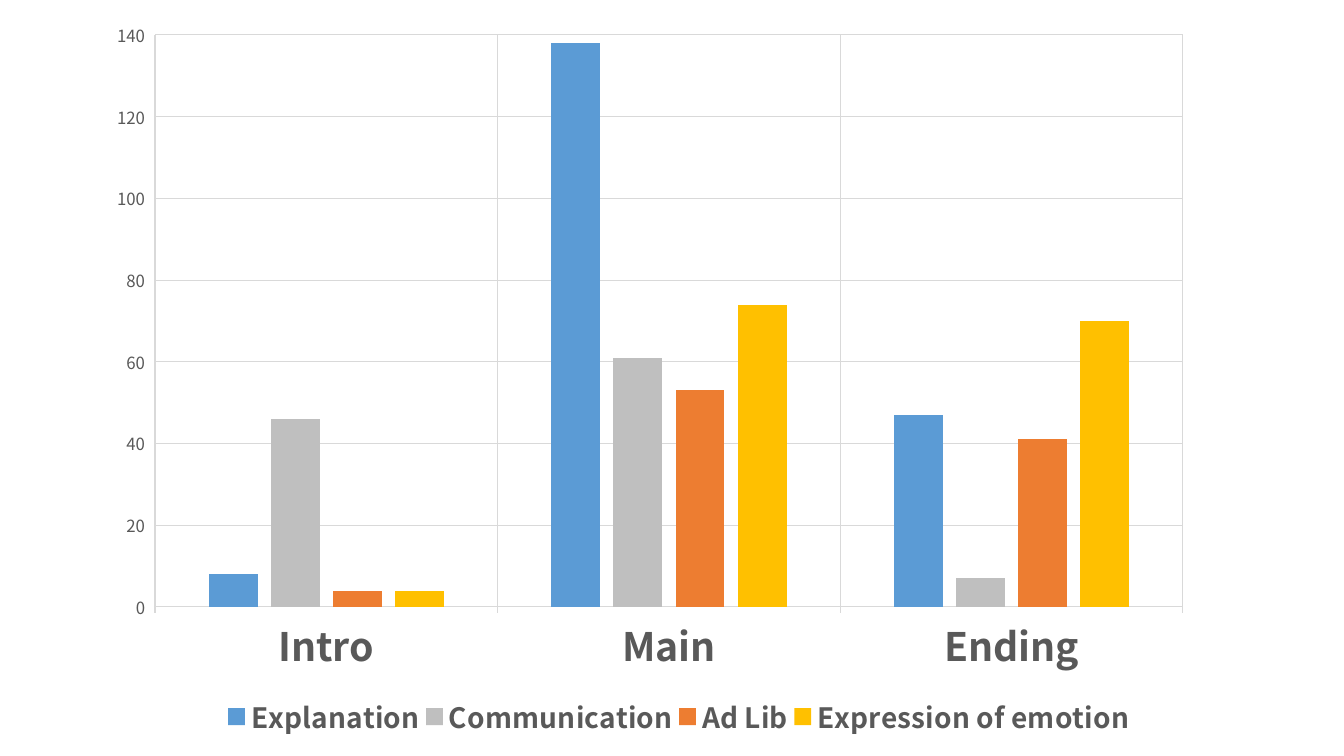
from dataclasses import dataclass

from lxml import etree
from pptx import Presentation
from pptx.chart.data import CategoryChartData
from pptx.dml.color import RGBColor
from pptx.enum.chart import (XL_CHART_TYPE, XL_LEGEND_POSITION,
                             XL_TICK_LABEL_POSITION, XL_TICK_MARK)
from pptx.oxml.ns import qn
from pptx.util import Emu, Pt

COLUMNS = XL_CHART_TYPE.COLUMN_CLUSTERED
BOTTOM = XL_LEGEND_POSITION.BOTTOM
LOW = XL_TICK_LABEL_POSITION.LOW
OUTSIDE, NO_TICK = XL_TICK_MARK.OUTSIDE, XL_TICK_MARK.NONE

SCALE = 914400 / 100.8
SLIDE_SIZE = (1344, 756)
CHART_BOX = (95, 8, 1110, 740)
PLOT_BOX = (155, 35, 1028, 572)
LEGEND_BOX = (222, 696, 914, 44)

STAGES = ("Intro", "Main", "Ending")
COUNTS = {
    "Explanation": (8, 138, 47),
    "Communication": (46, 61, 7),
    "Ad Lib": (4, 53, 41),
    "Expression of emotion": (4, 74, 70),
}


@dataclass(frozen=True)
class Theme:
    """Colours, font and type sizes of the slide."""
    font: str = "Noto Sans CJK KR"
    text: str = "595959"
    rule: str = "D9D9D9"
    rule_width: float = 0.75
    base_size: int = 10
    value_size: int = 12
    legend_size: int = 20
    stage_size: int = 28
    series: tuple = ("5B9BD5", "BFBFBF", "ED7D31", "FFC000")


THEME = Theme()


def px(n):
    """Turn pixels into EMU."""
    return Emu(round(n * SCALE))


def set_all(obj, values):
    """Set each attribute named in a dict."""
    for name, value in values.items():
        setattr(obj, name, value)


def style_font(font, size, bold=False):
    """Give a chart font its face, size, weight and colour."""
    set_all(font, {"name": THEME.font, "size": Pt(size), "bold": bold})
    font.color.rgb = RGBColor.from_string(THEME.text)


def style_rule(line):
    """Draw a line as a thin grey rule."""
    line.width = Pt(THEME.rule_width)
    line.color.rgb = RGBColor.from_string(THEME.rule)


def style_axis(axis, size, bold=False, **values):
    """Format an axis with its labels and gridlines."""
    set_all(axis, {"has_major_gridlines": True, "major_tick_mark": OUTSIDE,
                   "minor_tick_mark": NO_TICK, **values})
    style_font(axis.tick_labels.font, size, bold)
    style_rule(axis.major_gridlines.format.line)


def place_part(part, box, index, **target):
    """Fix a chart part at a box inside the chart frame."""
    for old in part.findall(qn("c:layout")):
        part.remove(old)
    layout = etree.Element(qn("c:layout"))
    part.insert(index, layout)
    manual = etree.SubElement(layout, qn("c:manualLayout"))
    left, top, width, height = CHART_BOX
    x, y, w, h = box
    values = {**target, "xMode": "edge", "yMode": "edge",
              "x": (x - left) / width, "y": (y - top) / height,
              "w": w / width, "h": h / height}
    for name, value in values.items():
        etree.SubElement(manual, qn(f"c:{name}")).set("val", str(value))


def add_column_chart(slide):
    """Add the clustered columns of counts by stage."""
    data = CategoryChartData()
    data.categories = STAGES
    for name, counts in COUNTS.items():
        data.add_series(name, counts)
    box = [px(n) for n in CHART_BOX]
    chart = slide.shapes.add_chart(COLUMNS, *box, data).chart
    set_all(chart, {"has_title": False, "has_legend": True})
    style_font(chart.font, THEME.base_size)

    plot = chart.plots[0]
    set_all(plot, {"gap_width": 219, "overlap": -27, "vary_by_categories": False})
    for series, color in zip(plot.series, THEME.series):
        series.invert_if_negative = False
        series.format.fill.solid()
        series.format.fill.fore_color.rgb = RGBColor.from_string(color)

    style_axis(chart.category_axis, THEME.stage_size, True, tick_label_position=LOW)
    style_rule(chart.category_axis.format.line)
    style_axis(chart.value_axis, THEME.value_size,
               minimum_scale=0, maximum_scale=140, major_unit=20)
    chart.value_axis.format.line.fill.background()

    legend = chart.legend
    set_all(legend, {"position": BOTTOM, "include_in_layout": False})
    style_font(legend.font, THEME.legend_size, True)
    place_part(plot._element.getparent(), PLOT_BOX, 0, layoutTarget="inner")
    place_part(legend._element, LEGEND_BOX, 1)


def main():
    """Build and save the slide."""
    prs = Presentation()
    prs.slide_width, prs.slide_height = (px(n) for n in SLIDE_SIZE)
    slide = prs.slides.add_slide(prs.slide_layouts[6])
    add_column_chart(slide)
    prs.save("out.pptx")


main()
